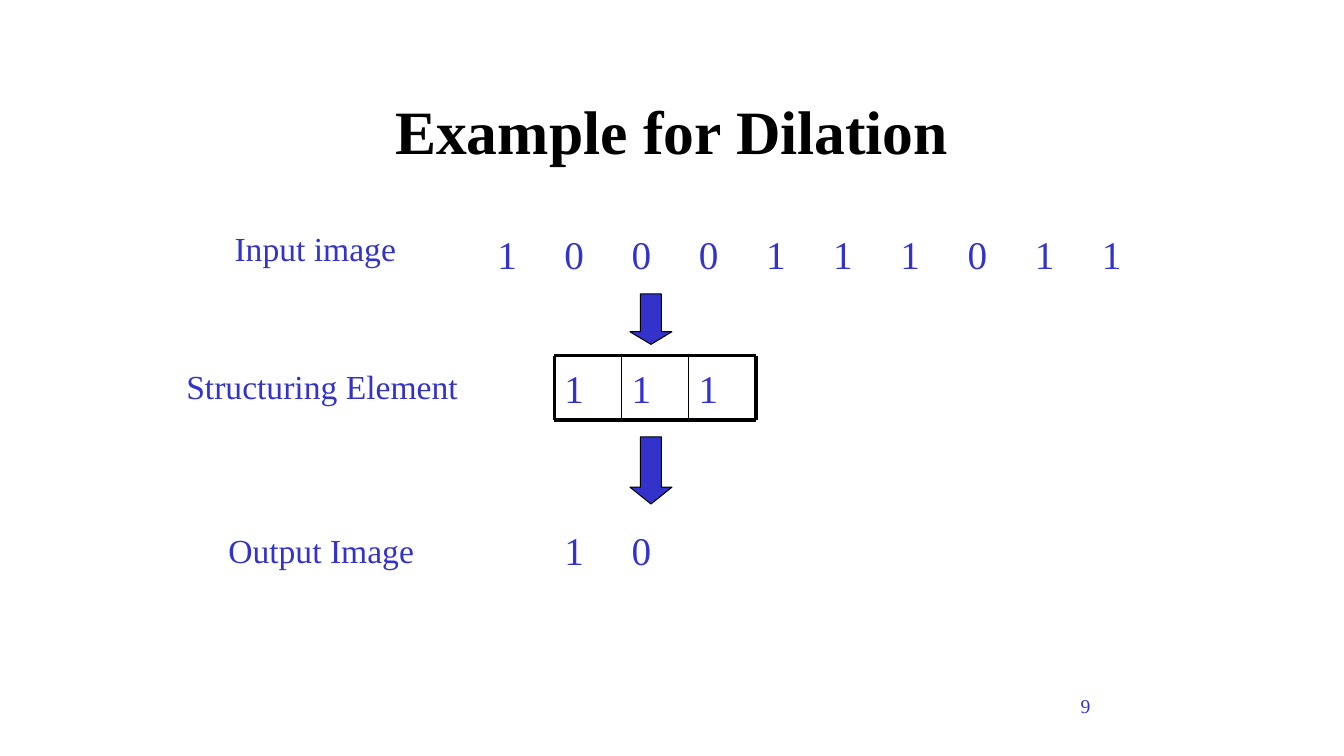
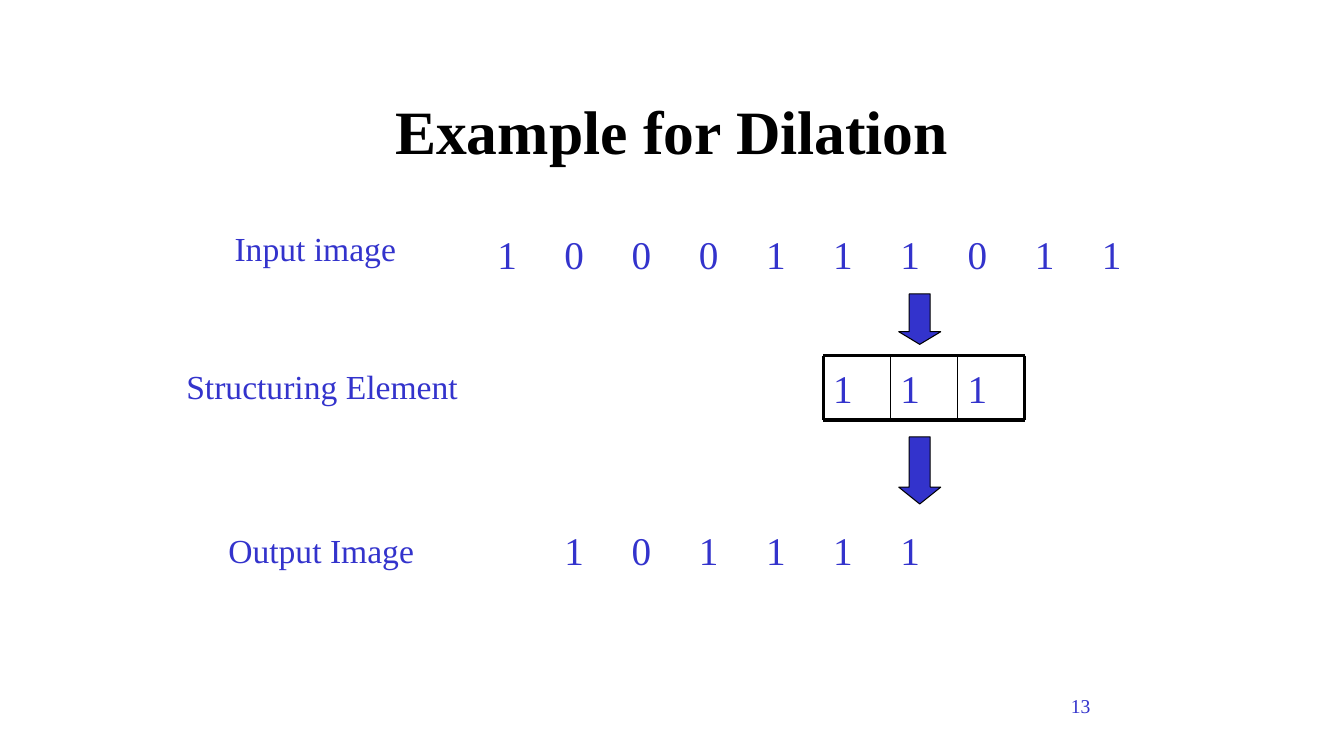
from lxml import etree
from pptx import Presentation
from pptx.dml.color import RGBColor
from pptx.enum.shapes import MSO_CONNECTOR, MSO_SHAPE
from pptx.enum.text import MSO_ANCHOR, MSO_AUTO_SIZE, PP_ALIGN
from pptx.oxml.ns import qn
from pptx.util import Pt

STRAIGHT = MSO_CONNECTOR.STRAIGHT
DOWN_ARROW = MSO_SHAPE.DOWN_ARROW
MIDDLE = MSO_ANCHOR.MIDDLE
NO_AUTOFIT = MSO_AUTO_SIZE.NONE
CENTER, LEFT, RIGHT = PP_ALIGN.CENTER, PP_ALIGN.LEFT, PP_ALIGN.RIGHT

BLUE = RGBColor(0x33, 0x33, 0xCC)
BLACK = RGBColor(0, 0, 0)
FONT = "Times New Roman"

TITLE = "Example for Dilation"
LABELS = [("Input image", 160.5, 159, 129.6),
          ("Structuring Element", 126, 258, 208.8),
          ("Output Image", 156, 375, 146.9)]

# The pixel grid that the tables and the structuring element share
GRID_LEFT = 348
CELL = 48
PIXEL_HEIGHT = 42
INPUT_TOP, OUTPUT_TOP = 162, 373
INPUT_PIXELS = "1000111011"
ELEMENT = "111"
ELEMENT_TOP, ELEMENT_HEIGHT = 254, 46

# Page number, column of the structuring element, output so far
STEPS = [(9, 1, "10"), (13, 5, "101111")]


def style_text(frame, text, size, color=BLUE, bold=False, align=LEFT):
    frame.text = text
    paragraph = frame.paragraphs[0]
    paragraph.alignment = align
    font = paragraph.runs[0].font
    font.name, font.size, font.bold = FONT, Pt(size), bold
    font.color.rgb = color
    return paragraph


def add_title(slide):
    title = slide.shapes.title
    title.left, title.top = Pt(174), Pt(48)
    title.width, title.height = Pt(612), Pt(90)
    frame = title.text_frame
    frame.auto_size = NO_AUTOFIT
    frame.vertical_anchor = MIDDLE
    style_text(frame, TITLE, 44, BLACK, bold=True, align=CENTER)


def add_text(shapes, text, left, top, width, height, size, align=LEFT, wrap=True):
    frame = shapes.add_textbox(Pt(left), Pt(top), Pt(width), Pt(height)).text_frame
    frame.word_wrap = wrap
    style_text(frame, text, size, align=align)
    return frame


def add_pixel_row(slide, pixels, top, first_column=0):
    """Add a one-row table with the pixels from first_column on."""
    count = len(INPUT_PIXELS)
    table = slide.shapes.add_table(1, count, Pt(GRID_LEFT), Pt(top),
                                   Pt(count * CELL), Pt(PIXEL_HEIGHT)).table
    table.first_row = table.horz_banding = False
    for column in table.columns:
        column.width = Pt(CELL)
    for cell in table.iter_cells():
        cell.fill.background()
    for index, pixel in enumerate(pixels, first_column):
        cell = table.cell(0, index)
        cell.margin_top = Pt(9.4)
        style_text(cell.text_frame, pixel, 28).line_spacing = 0.86


def add_line(shapes, x1, y1, x2, y2, width):
    line = shapes.add_connector(STRAIGHT, Pt(x1), Pt(y1), Pt(x2), Pt(y2))
    line.line.color.rgb = BLACK
    line.line.width = Pt(width)
    etree.SubElement(line._element.spPr, qn("a:effectLst"))


def add_element(slide, left):
    """Add the structuring element as a group of framed cells."""
    shapes = slide.shapes.add_group_shape().shapes
    count = len(ELEMENT)
    right, bottom = left + count * CELL, ELEMENT_TOP + ELEMENT_HEIGHT
    for index, value in enumerate(ELEMENT):
        frame = add_text(shapes, value, left + index * CELL, ELEMENT_TOP,
                         CELL, ELEMENT_HEIGHT, 28)
        frame.margin_top = Pt(6.2)
    for y in (ELEMENT_TOP, bottom):
        add_line(shapes, left, y, right, y, 2.25)
    for index in range(count + 1):
        x = left + index * CELL
        add_line(shapes, x, ELEMENT_TOP, x, bottom, 2.25 if index in (0, count) else 1)


def add_down_arrow(slide, left, top, height, head):
    arrow = slide.shapes.add_shape(DOWN_ARROW, Pt(left), Pt(top), Pt(30), Pt(height))
    arrow.adjustments[0], arrow.adjustments[1] = 0.5, head
    arrow.shadow.inherit = False
    arrow.fill.solid()
    arrow.fill.fore_color.rgb = BLUE
    arrow.line.color.rgb = BLACK
    arrow.line.width = Pt(0.75)


def add_step(prs, page, column, output):
    """Add the slide where the structuring element starts at the given column."""
    slide = prs.slides.add_slide(prs.slide_layouts[5])
    add_title(slide)
    add_text(slide.shapes, str(page), 636, 492, 150, 36, 14, align=RIGHT)
    for label, left, top, width in LABELS:
        add_text(slide.shapes, label, left, top, width, 36, 24, wrap=False)
    add_pixel_row(slide, INPUT_PIXELS, INPUT_TOP)
    add_pixel_row(slide, output, OUTPUT_TOP, first_column=1)
    element_left = GRID_LEFT + column * CELL
    add_element(slide, element_left)
    add_down_arrow(slide, element_left + 54, 210, 36, 0.3)
    add_down_arrow(slide, element_left + 54, 312, 48, 0.4)


def main():
    prs = Presentation()
    prs.slide_width, prs.slide_height = Pt(960), Pt(540)
    for page, column, output in STEPS:
        add_step(prs, page, column, output)
    prs.save("out.pptx")


if __name__ == "__main__":
    main()
